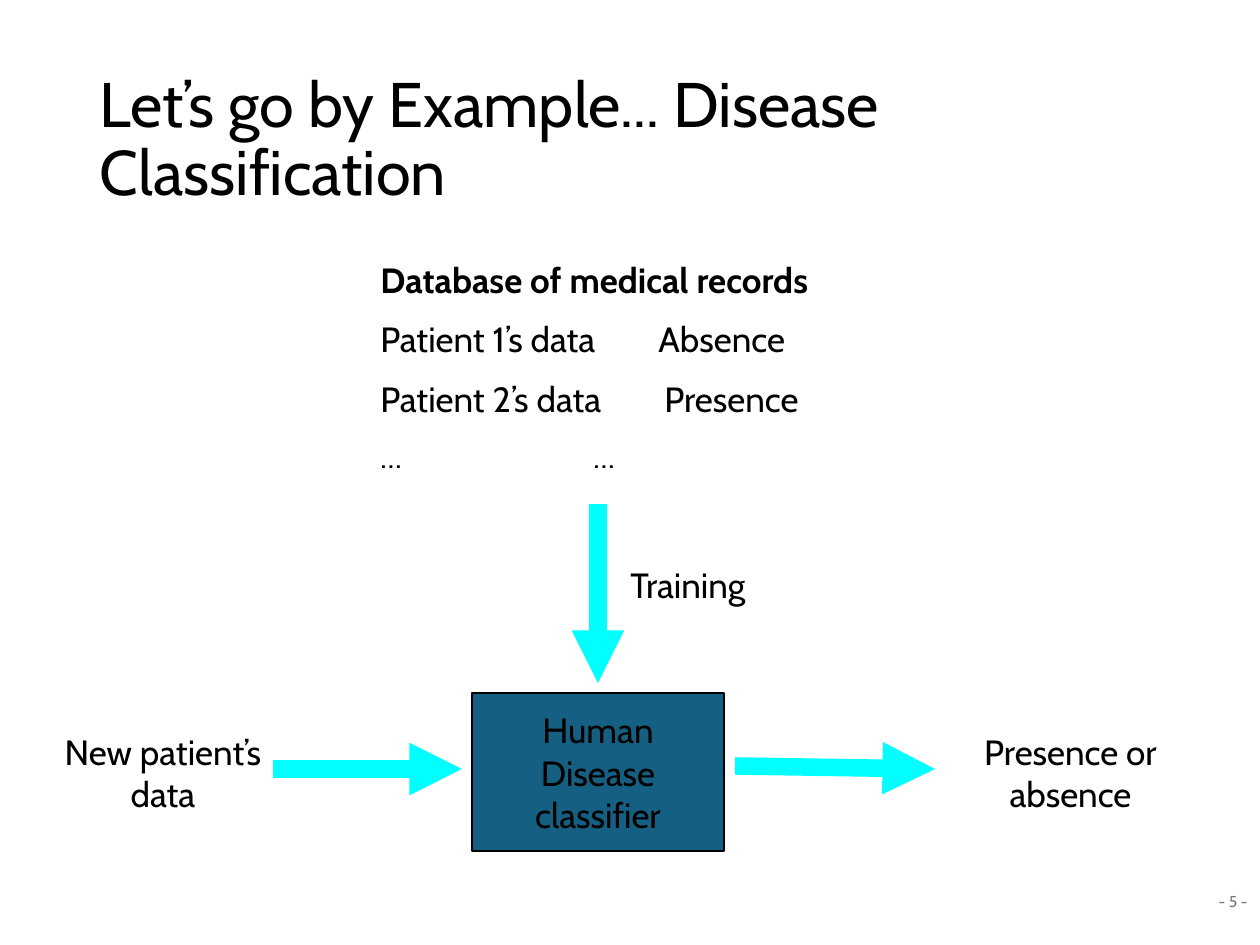
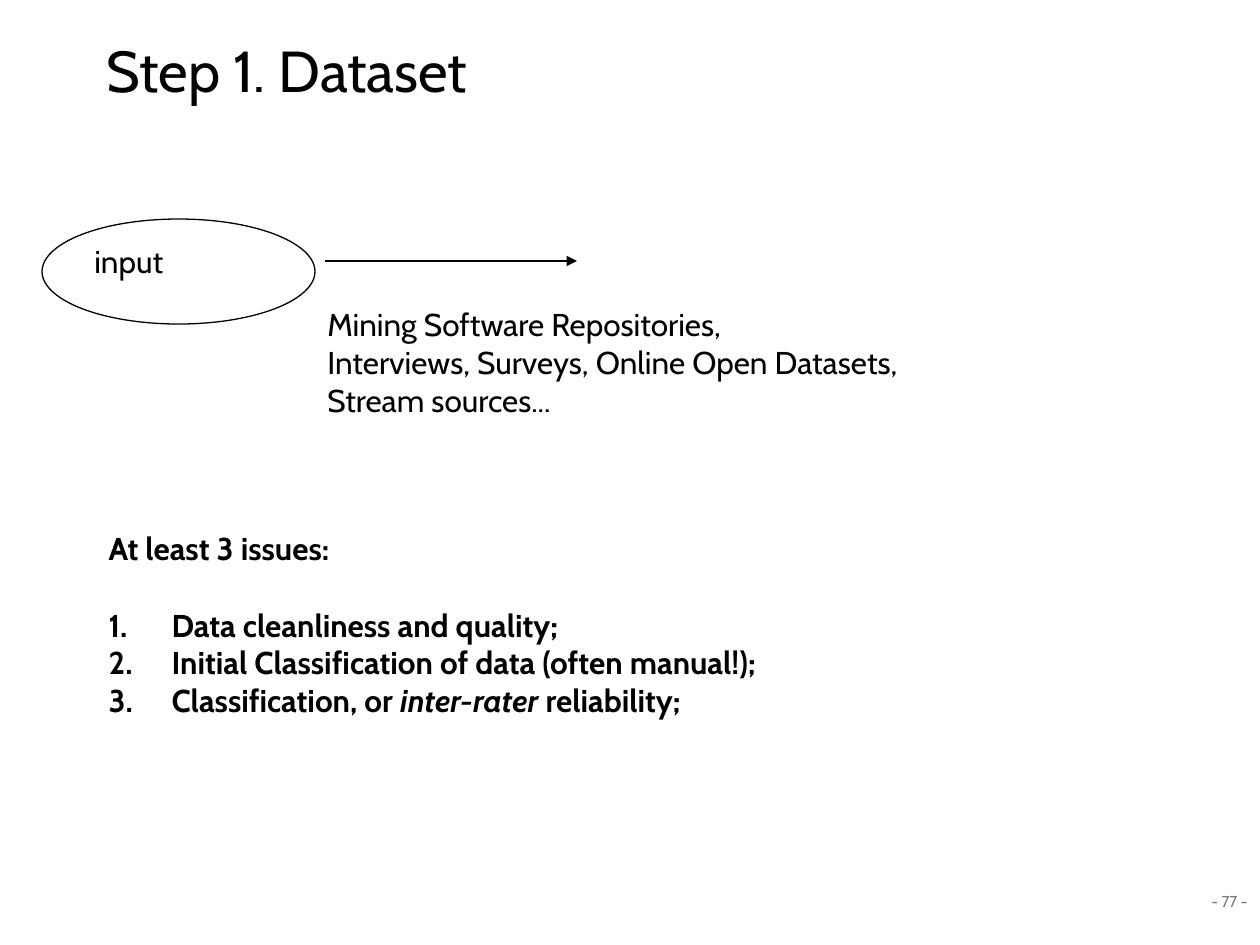
from pptx import Presentation
from pptx.dml.color import RGBColor
from pptx.enum.shapes import MSO_CONNECTOR, MSO_SHAPE
from pptx.enum.text import MSO_ANCHOR, MSO_AUTO_SIZE, PP_ALIGN
from pptx.oxml.ns import qn
from pptx.util import Emu, Pt
from lxml import etree

LEFT, CENTER, RIGHT = PP_ALIGN.LEFT, PP_ALIGN.CENTER, PP_ALIGN.RIGHT
TOP, MIDDLE = MSO_ANCHOR.TOP, MSO_ANCHOR.MIDDLE
RECTANGLE, OVAL = MSO_SHAPE.RECTANGLE, MSO_SHAPE.OVAL
STRAIGHT, NO_AUTOFIT = MSO_CONNECTOR.STRAIGHT, MSO_AUTO_SIZE.NONE

BLACK = RGBColor(0x00, 0x00, 0x00)
GRAY = RGBColor(0x79, 0x79, 0x79)
TEAL = RGBColor(0x15, 0x60, 0x82)
CYAN = RGBColor(0x00, 0xFF, 0xFF)
FONT = "Cabin"
PX_PER_INCH = 126
SLIDE_SIZE = (1260, 945)
PAGE_NUMBER_BOX = (976, 876, 284, 50)
TITLE_ONLY, TITLE_AND_BODY = 5, 1

EXAMPLE = {
    "title": "Let’s go by Example... Disease Classification",
    "title_box": (87, 50, 1086, 183),
    "title_size": 36,
    "page": "- 5 -",
}
RECORDS_HEADING = "Database of medical records"
RECORDS = [
    ("Patient 1’s data", "Absence", 278, 20),
    ("Patient 2’s data", "Presence", 284, 20),
    ("…", "…", 213, 18),
]
RECORDS_BOX = (368, 252, 473, 246)
CLASSIFIER = "Human\vDisease classifier"
CLASSIFIER_BOX = (472, 693, 252, 158)
FLOW_LABELS = [
    ("New patient’s data", (42, 724, 242, 97)),
    ("Presence or absence", (955, 724, 231, 97)),
    ("Training", (567, 557, 242, 55)),
]
FLOW_ARROWS = [
    (273, 769, 462, 769),
    (598, 504, 598, 683),
    (735, 766, 935, 769),
]

DATASET = {
    "title": "Step 1. Dataset",
    "title_box": (94, 16, 901, 116),
    "title_size": 33,
    "page": "- 77 -",
}
INPUT_OVAL = (42, 219, 273, 105)
INPUT_ARROW = (325, 261, 577, 261)
INPUT_LABEL = ("input", (82, 236, 112, 63))
SOURCES = [
    "Mining Software Repositories,",
    "Interviews, Surveys, Online Open Datasets,",
    "Stream sources...",
]
SOURCES_BOX = (315, 299, 766, 165)
ISSUES_HEADING = "At least 3 issues:"
ISSUES = [
    "Data cleanliness and quality;",
    "Initial Classification of data (often manual!);",
    ("Classification, or ", "inter-rater", " reliability;"),
]
ISSUES_BOX = (96, 523, 1070, 318)
NUMBER_INDENT = 63


def px(length):
    return Emu(round(length * 914400 / PX_PER_INCH))


def place(shape, box):
    shape.left, shape.top, shape.width, shape.height = map(px, box)


def write(frame, content, *, size=18, color=BLACK, bold=False, align=LEFT,
          anchor=TOP, line_spacing=1.0, gap=0):
    frame.word_wrap = True
    frame.auto_size = NO_AUTOFIT
    frame.vertical_anchor = anchor
    paragraphs = content if isinstance(content, list) else [content]
    for index, parts in enumerate(paragraphs):
        paragraph = frame.add_paragraph() if index else frame.paragraphs[0]
        paragraph.alignment = align
        paragraph.line_spacing = line_spacing
        paragraph.space_before = Pt(gap if index else 0)
        if isinstance(parts, str):
            paragraph.text = parts
        else:
            for position, part in enumerate(parts):
                run = paragraph.add_run()
                run.text = part
                run.font.italic = position % 2 == 1
        for run in paragraph.runs:
            run.font.name = FONT
            run.font.size = Pt(size)
            run.font.bold = bold
            run.font.color.rgb = color
    return frame.paragraphs


def add_label(slide, content, box, **style):
    return write(slide.shapes.add_textbox(*map(px, box)).text_frame, content, **style)


def add_outlined(slide, kind, box, fill=None):
    shape = slide.shapes.add_shape(kind, *map(px, box))
    shape.shadow.inherit = False
    if fill is None:
        shape.fill.background()
    else:
        shape.fill.solid()
        shape.fill.fore_color.rgb = fill
    shape.line.color.rgb = BLACK
    shape.line.width = Pt(0.75)
    return shape


def add_arrow(slide, ends, color, width):
    arrow = slide.shapes.add_connector(STRAIGHT, *map(px, ends))
    arrow.line.color.rgb = color
    arrow.line.width = Pt(width)
    etree.SubElement(arrow.line._get_or_add_ln(), qn("a:tailEnd"), type="triangle")
    etree.SubElement(arrow._element.spPr, qn("a:effectLst"))


def set_tab(paragraph, position):
    tabs = etree.SubElement(paragraph._p.get_or_add_pPr(), qn("a:tabLst"))
    etree.SubElement(tabs, qn("a:tab"), pos=str(px(position)), algn="l")


def set_bullet(paragraph, indent, tag, **attributes):
    properties = paragraph._p.get_or_add_pPr()
    properties.set("marL", str(px(indent)))
    properties.set("indent", str(-px(indent)))
    etree.SubElement(properties, qn(tag), **attributes)


def add_slide(deck, layout, head):
    slide = deck.slides.add_slide(deck.slide_layouts[layout])
    place(slide.shapes.title, head["title_box"])
    write(slide.shapes.title.text_frame, head["title"], size=head["title_size"],
          anchor=MIDDLE, line_spacing=0.9)
    add_label(slide, head["page"], PAGE_NUMBER_BOX, size=9, color=GRAY,
              align=RIGHT, anchor=MIDDLE)
    return slide


def build_example(deck):
    slide = add_slide(deck, TITLE_ONLY, EXAMPLE)
    classifier = add_outlined(slide, RECTANGLE, CLASSIFIER_BOX, TEAL)
    write(classifier.text_frame, CLASSIFIER, size=20, align=CENTER, anchor=MIDDLE)
    for label, box in FLOW_LABELS:
        add_label(slide, label, box, size=20, align=CENTER)
    for ends in FLOW_ARROWS:
        add_arrow(slide, ends, CYAN, 10)

    rows = [f"{patient}\t{outcome}" for patient, outcome, _, _ in RECORDS]
    heading, *lines = add_label(slide, [RECORDS_HEADING] + rows, RECORDS_BOX,
                                size=20, gap=10)
    heading.runs[0].font.bold = True
    for line, (_, _, tab, size) in zip(lines, RECORDS):
        set_tab(line, tab)
        line.runs[0].font.size = Pt(size)


def build_dataset(deck):
    slide = add_slide(deck, TITLE_AND_BODY, DATASET)
    add_outlined(slide, OVAL, INPUT_OVAL)
    add_arrow(slide, INPUT_ARROW, BLACK, 0.75)
    add_label(slide, *INPUT_LABEL)
    add_label(slide, SOURCES, SOURCES_BOX)

    issues = slide.placeholders[1]
    place(issues, ISSUES_BOX)
    heading, *items = write(issues.text_frame, [ISSUES_HEADING] + ISSUES, bold=True)
    set_bullet(heading, 0, "a:buNone")
    for item in items:
        set_bullet(item, NUMBER_INDENT, "a:buAutoNum", type="arabicPeriod")
    items[0].space_before = Pt(22)


def main():
    deck = Presentation()
    deck.slide_width, deck.slide_height = map(px, SLIDE_SIZE)
    build_example(deck)
    build_dataset(deck)
    deck.save("out.pptx")


if __name__ == "__main__":
    main()
